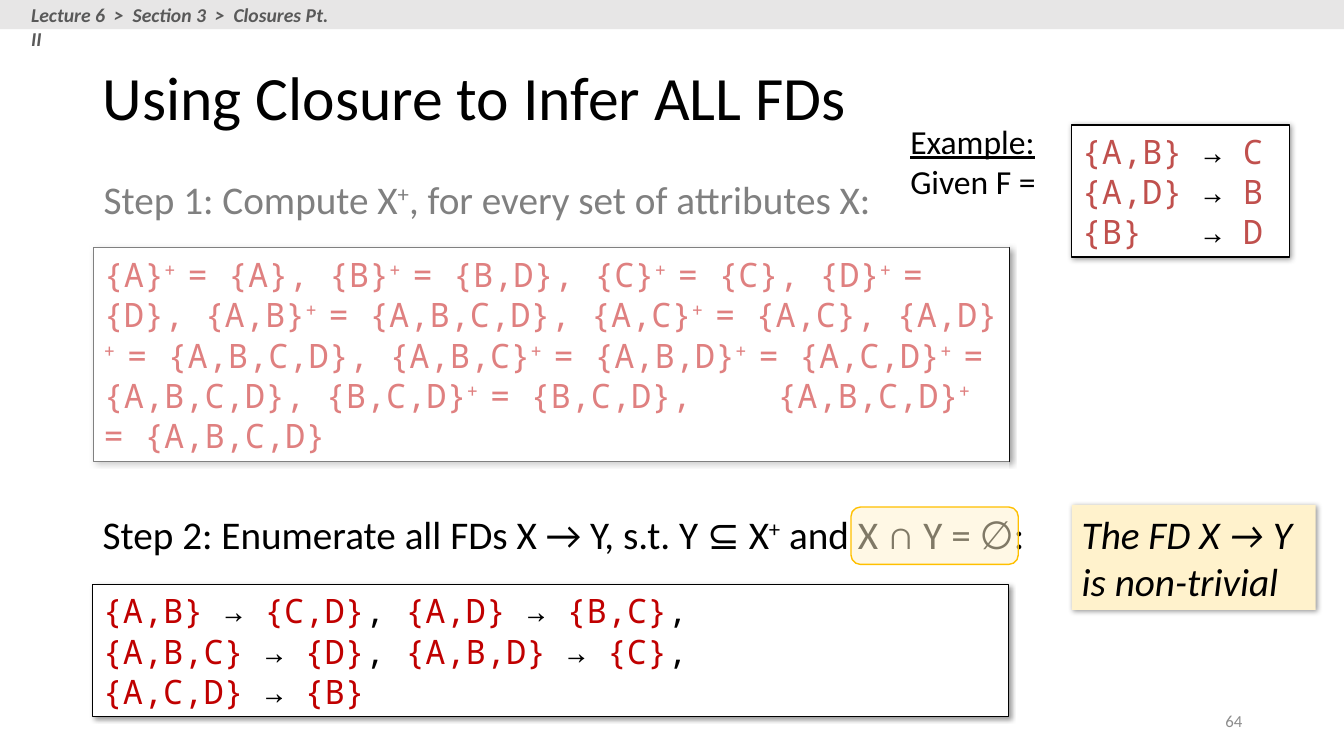
"""Build the slide on inferring all functional dependencies with closures."""
from lxml import etree
from pptx import Presentation
from pptx.dml.color import RGBColor
from pptx.enum.shapes import MSO_SHAPE
from pptx.enum.text import MSO_ANCHOR, MSO_AUTO_SIZE, PP_ALIGN
from pptx.oxml.ns import qn
from pptx.util import Inches, Pt

BLACK = RGBColor(0x00, 0x00, 0x00)
WHITE = RGBColor(0xFF, 0xFF, 0xFF)
DARK_RED = RGBColor(0xC0, 0x00, 0x00)
SOFT_RED = RGBColor(0xC0, 0x50, 0x4D)
CREAM = RGBColor(0xFF, 0xF2, 0xCC)
GOLD = RGBColor(0xFF, 0xC0, 0x00)
BAR_GREY = RGBColor(0xE7, 0xE6, 0xE6)
CRUMB_GREY = RGBColor(0x59, 0x59, 0x59)
NUMBER_GREY = RGBColor(0x8C, 0x8C, 0x8C)
SANS, MONO = "Calibri", "Noto Sans Mono"

GIVEN_FDS = ["{A,B} |→ |C", "{A,D} |→| B", "{B}\t|→| D"]
CLOSURES = ["{A}|+ |= {A}, {B}|+ |= {B,D}, {C}|+ |= {C}, {D}|+ |= {D}, {A,B}|+ |"
            "= {A,B,C,D}, {A,C}|+ |= {A,C}, {A,D}|+ |= {A,B,C,D}, {A,B,C}|+ |"
            "= {A,B,D}|+ |= {A,C,D}|+ |= {A,B,C,D}, {B,C,D}|+ |"
            "= {B,C,D},\t{A,B,C,D}|+ |= {A,B,C,D}"]
INFERRED_FDS = ["{A,B} |→ |{C,D}|, |{A,D} |→ |{B,C}|,",
                "{A,B,C} |→ |{D}|, |{A,B,D} |→ |{C}|,",
                "{A,C,D} |→ |{B}"]


def superscript(run):
    """Raise a run above the baseline."""
    run.font._element.set("baseline", "30000")


def blacken(run):
    """Colour a run black."""
    run.font.color.rgb = BLACK


def write(frame, lines, size, color, font=SANS, accent=None, tab=None,
          bold=False, italic=False):
    """Write one paragraph per line; every second piece between bars gets the accent."""
    for index, line in enumerate(lines):
        paragraph = frame.paragraphs[0] if index == 0 else frame.add_paragraph()
        paragraph.alignment = PP_ALIGN.LEFT
        if tab and "\t" in line:
            stops = etree.SubElement(paragraph._p.get_or_add_pPr(), qn("a:tabLst"))
            etree.SubElement(stops, qn("a:tab"), pos=str(Inches(tab)), algn="l")
        pieces = [line] if accent is None else line.split("|")
        for place, piece in enumerate(pieces):
            if not piece:
                continue
            run = paragraph.add_run()
            run.text = piece
            run.font.name, run.font.size = font, Pt(size)
            run.font.bold, run.font.italic = bold, italic
            run.font.color.rgb = color
            if place % 2:
                accent(run)


def add_label(slide, box, lines, size, color=BLACK, wrap=False, **style):
    """Add a text box and return its frame."""
    frame = slide.shapes.add_textbox(*map(Inches, box)).text_frame
    frame.word_wrap = wrap
    write(frame, lines, size, color, **style)
    return frame


def add_panel(slide, box, fill, alpha=100, line=None, width=0.75,
              shape=MSO_SHAPE.RECTANGLE):
    """Add a filled shape, translucent when alpha is below 100."""
    panel = slide.shapes.add_shape(shape, *map(Inches, box))
    panel.shadow.inherit = False
    panel.fill.solid()
    panel.fill.fore_color.rgb = fill
    if alpha < 100:
        color = panel._element.spPr.find(qn("a:solidFill"))[0]
        etree.SubElement(color, qn("a:alpha"), val=str(alpha * 1000))
    if line is None:
        panel.line.fill.background()
    else:
        panel.line.color.rgb = line
        panel.line.width = Pt(width)
    return panel


def add_card(slide, box, lines, size, color, fill=WHITE, line=BLACK,
             anchor=MSO_ANCHOR.MIDDLE, **style):
    """Add a panel with a soft drop shadow and text."""
    card = add_panel(slide, box, fill, line=line)
    effects = card._element.spPr.find(qn("a:effectLst"))
    shadow = etree.SubElement(effects, qn("a:outerShdw"), blurRad=str(Pt(4)),
                              dist=str(Pt(1)), dir=str(45 * 60000),
                              algn="tl", rotWithShape="0")
    shade = etree.SubElement(shadow, qn("a:srgbClr"), val=str(BLACK))
    etree.SubElement(shade, qn("a:alpha"), val="40000")
    card.text_frame.word_wrap = True
    card.text_frame.vertical_anchor = anchor
    write(card.text_frame, lines, size, color, **style)


def set_title(slide, text):
    """Place and format the title."""
    title = slide.shapes.title
    title.left, title.top, title.width, title.height = map(
        Inches, (0.92, 0.27, 11.5, 1.45))
    frame = title.text_frame
    frame.auto_size = MSO_AUTO_SIZE.NONE
    frame.vertical_anchor = MSO_ANCHOR.MIDDLE
    write(frame, [text], 44, BLACK)
    frame.paragraphs[0].line_spacing = 0.9


def main():
    """Build and save the slide."""
    deck = Presentation()
    deck.slide_width, deck.slide_height = Inches(13.33), Inches(7.5)
    slide = deck.slides.add_slide(deck.slide_layouts[5])

    set_title(slide, "Using Closure to Infer ALL FDs")
    number = add_label(slide, (9.42, 6.95, 3, 0.4), ["64"], 12, NUMBER_GREY, wrap=True)
    number.vertical_anchor = MSO_ANCHOR.MIDDLE
    number.paragraphs[0].alignment = PP_ALIGN.RIGHT

    add_card(slide, (10.63, 1.24, 2.16, 1.31), GIVEN_FDS, 24, SOFT_RED,
             font=MONO, accent=blacken, tab=1.2)
    example = add_label(slide, (8.93, 1.15, 1.46, 0.91), ["Example:", "Given F ="], 24)
    example.paragraphs[0].runs[0].font.underline = True

    add_card(slide, (0.93, 2.46, 9.08, 2.12), CLOSURES, 24, DARK_RED,
             font=MONO, accent=superscript, tab=6.68)
    add_label(slide, (0.92, 5.01, 9.44, 0.57),
              ["Step 2: Enumerate all FDs X → Y, s.t. Y ⊆ X|+| and X ∩ Y = ∅:"],
              28, accent=superscript)
    add_card(slide, (0.92, 5.8, 9.08, 1.31), INFERRED_FDS, 24, DARK_RED,
             font=MONO, accent=blacken)
    add_panel(slide, (0.74, 2.39, 9.27, 2.32), WHITE, alpha=50)
    add_panel(slide, (8.44, 5.03, 1.66, 0.57), CREAM, alpha=50, line=GOLD, width=1,
              shape=MSO_SHAPE.ROUNDED_RECTANGLE)
    add_card(slide, (10.63, 5.01, 2.42, 1.04), ["The FD X → Y is non-trivial"], 28,
             BLACK, fill=CREAM, line=None, anchor=MSO_ANCHOR.TOP, italic=True)

    add_panel(slide, (0, 0, 13.33, 0.29), BAR_GREY)
    add_label(slide, (0.21, -0.02, 3.24, 0.34),
              ["Lecture 6  >  Section 3  >  Closures Pt. II"], 14, CRUMB_GREY,
              wrap=True, bold=True, italic=True)
    add_label(slide, (0.93, 1.69, 7.92, 0.57),
              ["Step 1: Compute X|+|, for every set of attributes X:"],
              28, accent=superscript)
    add_panel(slide, (0.85, 1.64, 7.84, 0.69), WHITE, alpha=50)

    deck.save("out.pptx")


if __name__ == "__main__":
    main()
